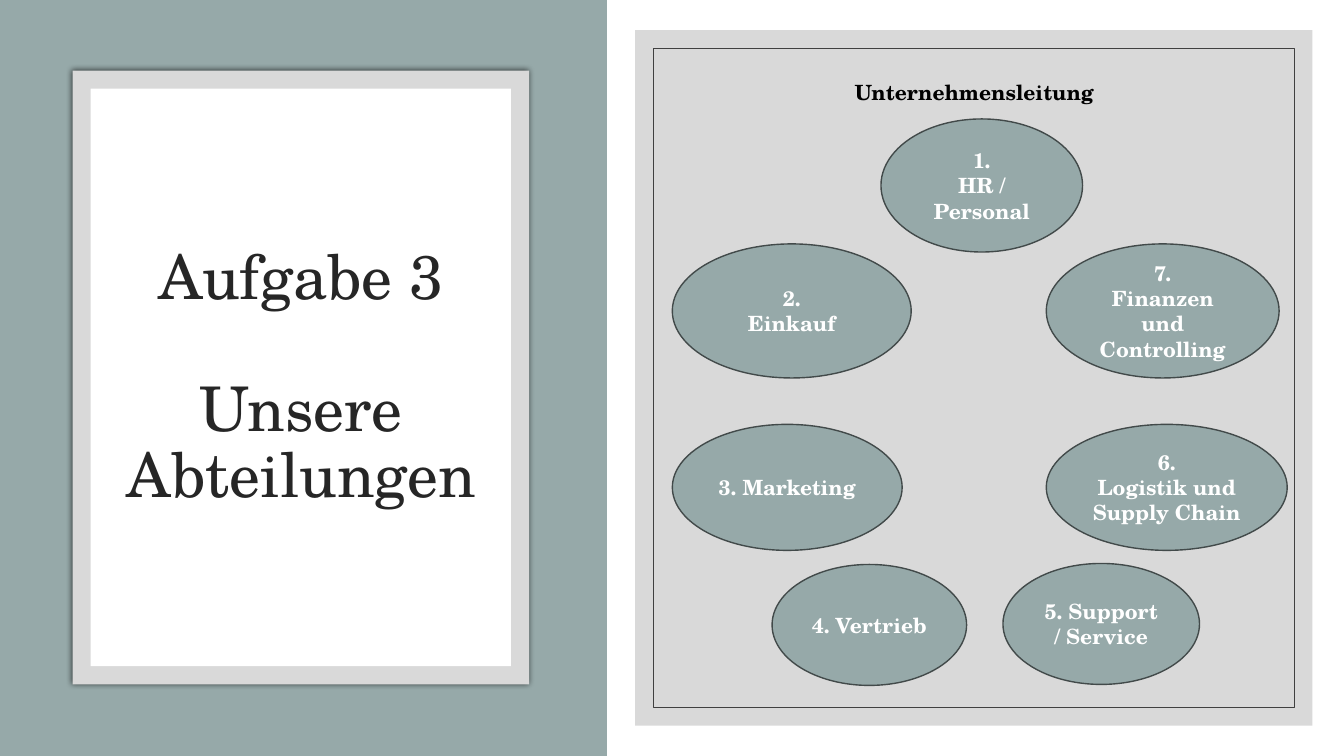
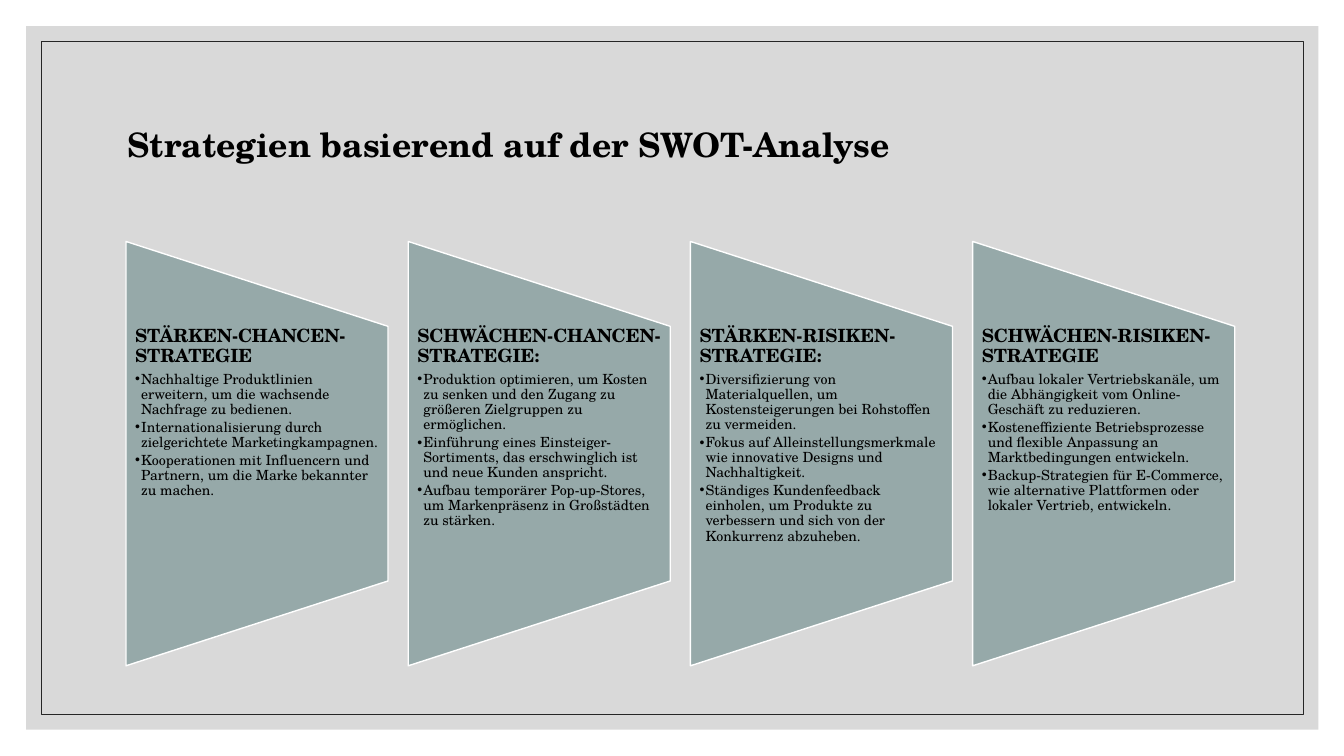
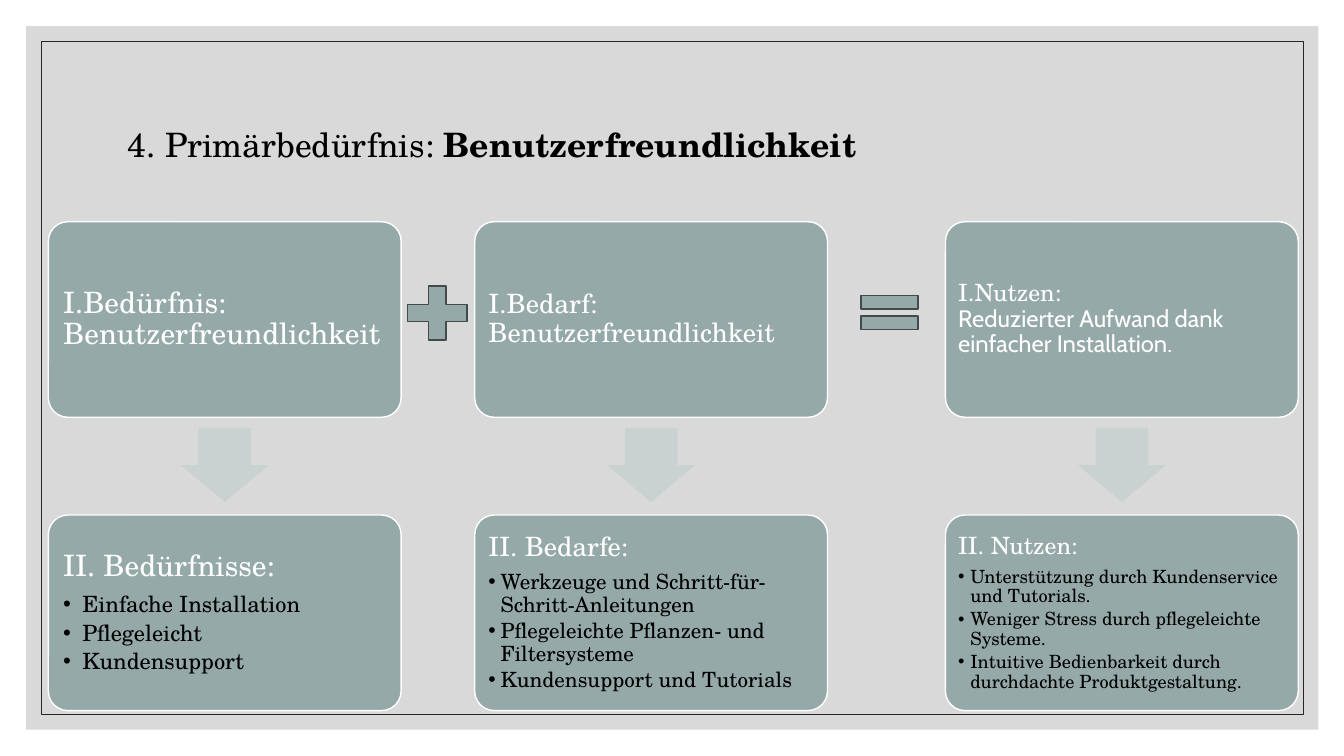
from lxml.etree import SubElement
from pptx import Presentation
from pptx.dml.color import RGBColor
from pptx.enum.shapes import MSO_SHAPE
from pptx.enum.text import MSO_ANCHOR, MSO_AUTO_SIZE, PP_ALIGN
from pptx.oxml.ns import qn
from pptx.util import Inches, Pt

COLUMNS, ROWS = 40, 22.5
CELL = Inches(1) / 3
SAGE, SAGE_PALE, SAGE_DARK = "96A9A9", "C9D1D1", "424A4A"
GREY, WHITE, BLACK, CHARCOAL = "D9D9D9", "FFFFFF", "000000", "262626"
SERIF, SANS = "TeX Gyre Schola", "Cabin"


def cells(count):
    return round(count * CELL)


def rgb(value):
    return RGBColor.from_string(value)


class Deck:
    """Holds the presentation, its style and the current slide."""

    def __init__(self):
        self.presentation = Presentation()
        self.presentation.slide_width = cells(COLUMNS)
        self.presentation.slide_height = cells(ROWS)
        self.slide = None

    def new_slide(self, layout):
        layouts = self.presentation.slide_layouts
        self.slide = self.presentation.slides.add_slide(layouts.get_by_name(layout))

    def shape(self, kind, box, fill=None, outline=None, width=1, adjustments=()):
        shape = self.slide.shapes.add_shape(kind, *map(cells, box))
        shape.shadow.inherit = False
        if fill:
            shape.fill.solid()
            shape.fill.fore_color.rgb = rgb(fill)
        else:
            shape.fill.background()
        if outline:
            shape.line.color.rgb = rgb(outline)
            shape.line.width = Pt(width)
        else:
            shape.line.fill.background()
        for index, value in enumerate(adjustments):
            shape.adjustments[index] = value
        return shape

    def panel(self, box, inset, fill=None, outline=None):
        """Draws a grey rectangle with a second one set evenly inside it."""
        left, top, width, height = box
        outer = self.shape(MSO_SHAPE.RECTANGLE, box, GREY)
        inner = (left + inset, top + inset, width - 2 * inset, height - 2 * inset)
        self.shape(MSO_SHAPE.RECTANGLE, inner, fill, outline, 0.5)
        return outer

    def glow(self, shape, blur, opacity):
        effects = shape.element.spPr.find(qn("a:effectLst"))
        shadow = SubElement(effects, qn("a:outerShdw"), blurRad=str(Pt(blur)),
                            dist="0", algn="ctr", rotWithShape="0")
        color = SubElement(shadow, qn("a:srgbClr"), val=BLACK)
        SubElement(color, qn("a:alpha"), val=str(opacity * 1000))

    def frame(self, shape, anchor=MSO_ANCHOR.MIDDLE, inset=(0.3, 0.15)):
        frame = shape.text_frame
        frame.word_wrap = True
        frame.auto_size = MSO_AUTO_SIZE.NONE
        frame.vertical_anchor = anchor
        frame.margin_left = frame.margin_right = cells(inset[0])
        frame.margin_top = frame.margin_bottom = cells(inset[1])
        return frame

    def placeholder(self, index, box):
        """Moves a placeholder into the box, in front of the shapes drawn so far."""
        holder = self.slide.placeholders[index]
        holder.left, holder.top, holder.width, holder.height = map(cells, box)
        holder.element.getparent().append(holder.element)
        return self.frame(holder)

    def line(self, frame, text, size, color=BLACK, bold=False, align=PP_ALIGN.LEFT,
             spacing=0.9, before=0, after=0, indent=0):
        """Adds a paragraph; an indent gives it a hanging bullet."""
        paragraph = frame.add_paragraph() if frame.text else frame.paragraphs[0]
        paragraph.text = text
        properties = paragraph._p.get_or_add_pPr()
        properties.set("marL", str(cells(indent)))
        properties.set("indent", str(-cells(indent)))
        if indent:
            SubElement(properties, qn("a:buFont"), typeface="Arial")
            SubElement(properties, qn("a:buChar"), char="•")
        else:
            SubElement(properties, qn("a:buNone"))
        paragraph.alignment = align
        paragraph.line_spacing = spacing
        paragraph.space_before, paragraph.space_after = Pt(before), Pt(after)
        font = paragraph.font
        font.name, font.size, font.bold = SERIF, Pt(size), bold
        font.color.rgb = rgb(color)
        return paragraph

    def heading(self, frame, text, size, color=BLACK, bold=False):
        return self.line(frame, text, size, color, bold, after=0.35 * size)

    def bullets(self, frame, points, size, indent):
        for point in points:
            self.line(frame, point, size, after=0.18 * size, indent=indent)

    def department(self, box, label):
        oval = self.shape(MSO_SHAPE.OVAL, box, SAGE, SAGE_DARK)
        frame = self.frame(oval)
        for text in label.split("\n"):
            self.line(frame, text, 15, WHITE, True, PP_ALIGN.CENTER, 1)

    def card(self, box, inset):
        card = self.shape(MSO_SHAPE.ROUNDED_RECTANGLE, box, SAGE, WHITE, adjustments=[0.1])
        return self.frame(card, inset=(inset, inset))

    def content_slide(self, title):
        self.new_slide("Title Only")
        self.panel((0.78, 0.78, 38.46, 20.94), 0.45, outline=CHARCOAL)
        return self.line(self.placeholder(0, (3.5, 2.1, 33, 4.5)), title, 24)


DEPARTMENTS = [
    ((26.22, 3.54, 6, 3.96), "1.\nHR / Personal"),
    ((31.14, 7.26, 6.93, 3.99), "7.\nFinanzen und Controlling"),
    ((29.85, 16.77, 5.85, 3.6), "5. Support / Service"),
    ((20.01, 7.26, 7.11, 3.99), "2.\nEinkauf"),
    ((31.14, 12.63, 7.17, 3.75), "6.\nLogistik und Supply Chain"),
    ((20.01, 12.63, 6.84, 3.75), "3. Marketing"),
    ((22.98, 16.8, 5.79, 3.6), "4. Vertrieb"),
]

STRATEGIES = [
    ("STÄRKEN-CHANCEN-STRATEGIE", [
        "Nachhaltige Produktlinien erweitern, um die wachsende Nachfrage zu bedienen.",
        "Internationalisierung durch zielgerichtete Marketingkampagnen.",
        "Kooperationen mit Influencern und Partnern, um die Marke bekannter zu machen."]),
    ("SCHWÄCHEN-CHANCEN-STRATEGIE:", [
        "Produktion optimieren, um Kosten zu senken und den Zugang zu größeren "
        "Zielgruppen zu ermöglichen.",
        "Einführung eines Einsteiger-Sortiments, das erschwinglich ist und neue "
        "Kunden anspricht.",
        "Aufbau temporärer Pop-up-Stores, um Markenpräsenz in Großstädten zu stärken."]),
    ("STÄRKEN-RISIKEN-STRATEGIE:", [
        "Diversifizierung von Materialquellen, um Kostensteigerungen bei Rohstoffen "
        "zu vermeiden.",
        "Fokus auf Alleinstellungsmerkmale wie innovative Designs und Nachhaltigkeit.",
        "Ständiges Kundenfeedback einholen, um Produkte zu verbessern und sich von "
        "der Konkurrenz abzuheben."]),
    ("SCHWÄCHEN-RISIKEN-STRATEGIE", [
        "Aufbau lokaler Vertriebskanäle, um die Abhängigkeit vom Online-Geschäft "
        "zu reduzieren.",
        "Kosteneffiziente Betriebsprozesse und flexible Anpassung an "
        "Marktbedingungen entwickeln.",
        "Backup-Strategien für E-Commerce, wie alternative Plattformen oder lokaler "
        "Vertrieb, entwickeln."]),
]

# left, heading size, bullet size, inset, indent, first heading, detail, second heading, points
NEEDS = [
    (1.44, 21, 16, 0.27, 0.57, "I.Bedürfnis: Benutzerfreundlichkeit", "",
     "II. Bedürfnisse:", ["Einfache Installation", "Pflegeleicht", "Kundensupport"]),
    (14.13, 19, 15, 0.24, 0.36, "I.Bedarf: Benutzerfreundlichkeit", "",
     "II. Bedarfe:", ["Werkzeuge und Schritt-für-Schritt-Anleitungen",
                      "Pflegeleichte Pflanzen- und Filtersysteme",
                      "Kundensupport und Tutorials"]),
    (28.14, 17, 13, 0.21, 0.36, "I.Nutzen:\v",
     "Reduzierter Aufwand dank einfacher Installation.",
     "II. Nutzen:", ["Unterstützung durch Kundenservice und Tutorials.",
                     "Weniger Stress durch pflegeleichte Systeme.",
                     "Intuitive Bedienbarkeit durch durchdachte Produktgestaltung."]),
]


def departments_slide(deck):
    deck.new_slide("Title and Content")
    deck.shape(MSO_SHAPE.RECTANGLE, (0, 0, 18.06, ROWS), SAGE)
    title_card = deck.panel((2.16, 2.1, 13.59, 18.27), 0.54, fill=WHITE)
    deck.glow(title_card, 4, 66)
    title = deck.placeholder(0, (3.24, 3.9, 11.46, 14.73))
    for text, before in (("Aufgabe 3", 0), ("Unsere Abteilungen", 47)):
        deck.line(title, text, 44, CHARCOAL, align=PP_ALIGN.CENTER, before=before)
    deck.panel((18.9, 0.9, 20.16, 20.7), 0.54, outline="404040")
    management = deck.placeholder(1, (21, 2.1, 16, 1.2))
    deck.line(management, "Unternehmensleitung", 15, bold=True,
              align=PP_ALIGN.CENTER, spacing=1.1)
    for box, label in DEPARTMENTS:
        deck.department(box, label)


def strategies_slide(deck):
    title = deck.content_slide("Strategien basierend auf der SWOT-Analyse")
    title.font.bold = True
    width, length, middle, pitch = 7.8, 12.63, 13.5, 8.4
    for index, (name, points) in enumerate(STRATEGIES):
        left = 3.75 + index * pitch
        box = (left + (width - length) / 2, middle - width / 2, length, width)
        banner = deck.shape(MSO_SHAPE.FLOWCHART_MANUAL_OPERATION, box, SAGE, WHITE)
        banner.rotation = 270
        text_box = deck.slide.shapes.add_textbox(*map(cells, (left, 9.72, width, 7.59)))
        frame = deck.frame(text_box, MSO_ANCHOR.TOP, (0.27, 0))
        deck.heading(frame, name, 13, bold=True)
        deck.bullets(frame, points, 10, 0.18)


def needs_slide(deck):
    title = deck.content_slide("4. Primärbedürfnis: ")
    topic = title.add_run()
    topic.text = "Benutzerfreundlichkeit"
    topic.font.bold = True
    width, height, arrow_width = 10.5, 5.82, 2.61
    for left, size, point_size, inset, indent, need, detail, needs, points in NEEDS:
        frame = deck.card((left, 6.6, width, height), inset)
        heading = deck.heading(frame, need, size, WHITE)
        if detail:
            explanation = heading.add_run()
            explanation.text = detail
            explanation.font.name = SANS
        arrow_left = left + (width - arrow_width) / 2
        deck.shape(MSO_SHAPE.DOWN_ARROW, (arrow_left, 12.75, arrow_width, 2.19),
                   SAGE_PALE, adjustments=[0.6, 0.5])
        frame = deck.card((left, 15.33, width, height), inset)
        deck.heading(frame, needs, size, WHITE)
        deck.bullets(frame, points, point_size, indent)
    deck.shape(MSO_SHAPE.MATH_PLUS, (11.82, 8.22, 2.4, 2.19), SAGE, SAGE_DARK)
    deck.shape(MSO_SHAPE.MATH_EQUAL, (25.32, 8.43, 2.31, 1.74), SAGE, SAGE_DARK)


def main():
    deck = Deck()
    departments_slide(deck)
    strategies_slide(deck)
    needs_slide(deck)
    deck.presentation.save("out.pptx")


if __name__ == "__main__":
    main()
